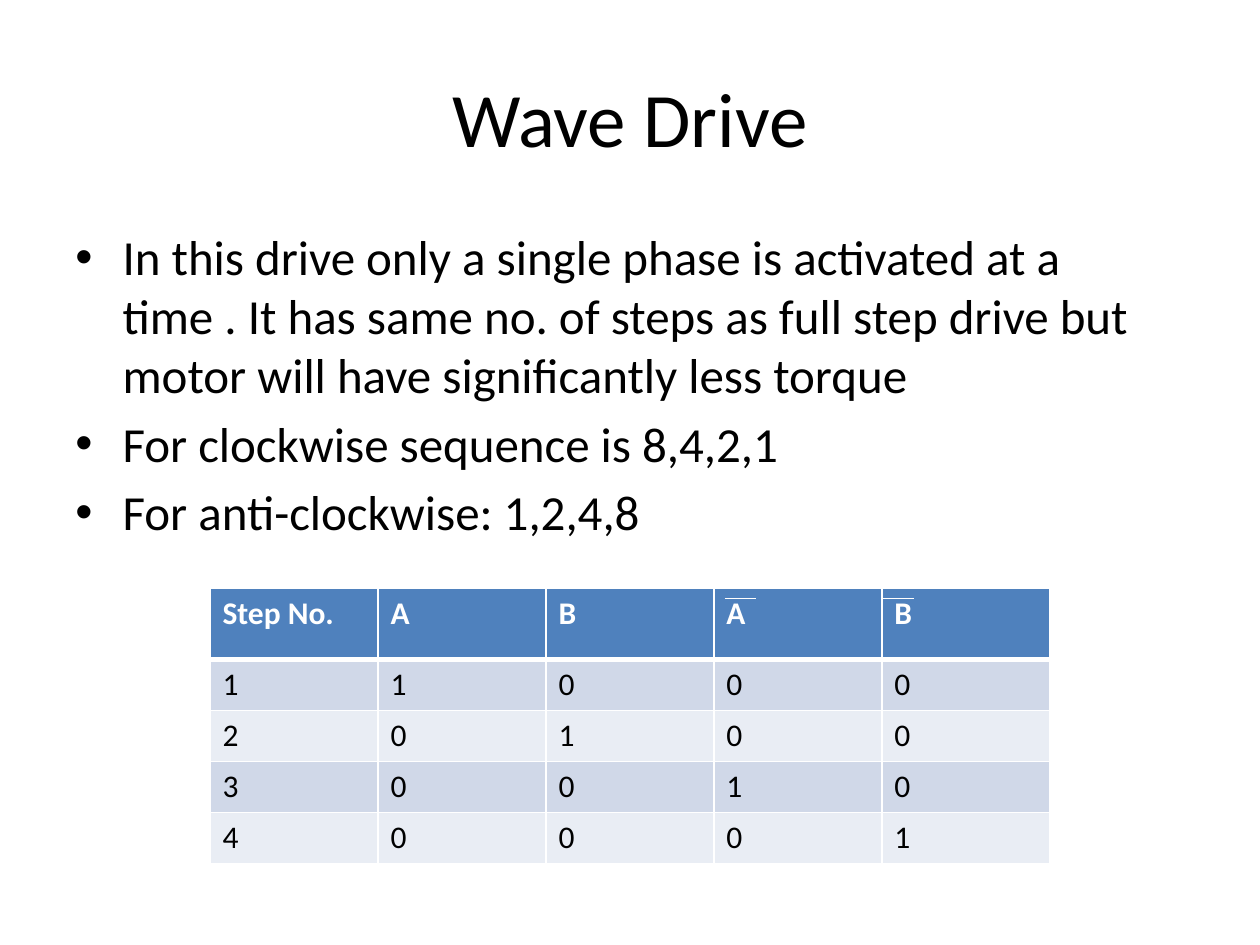
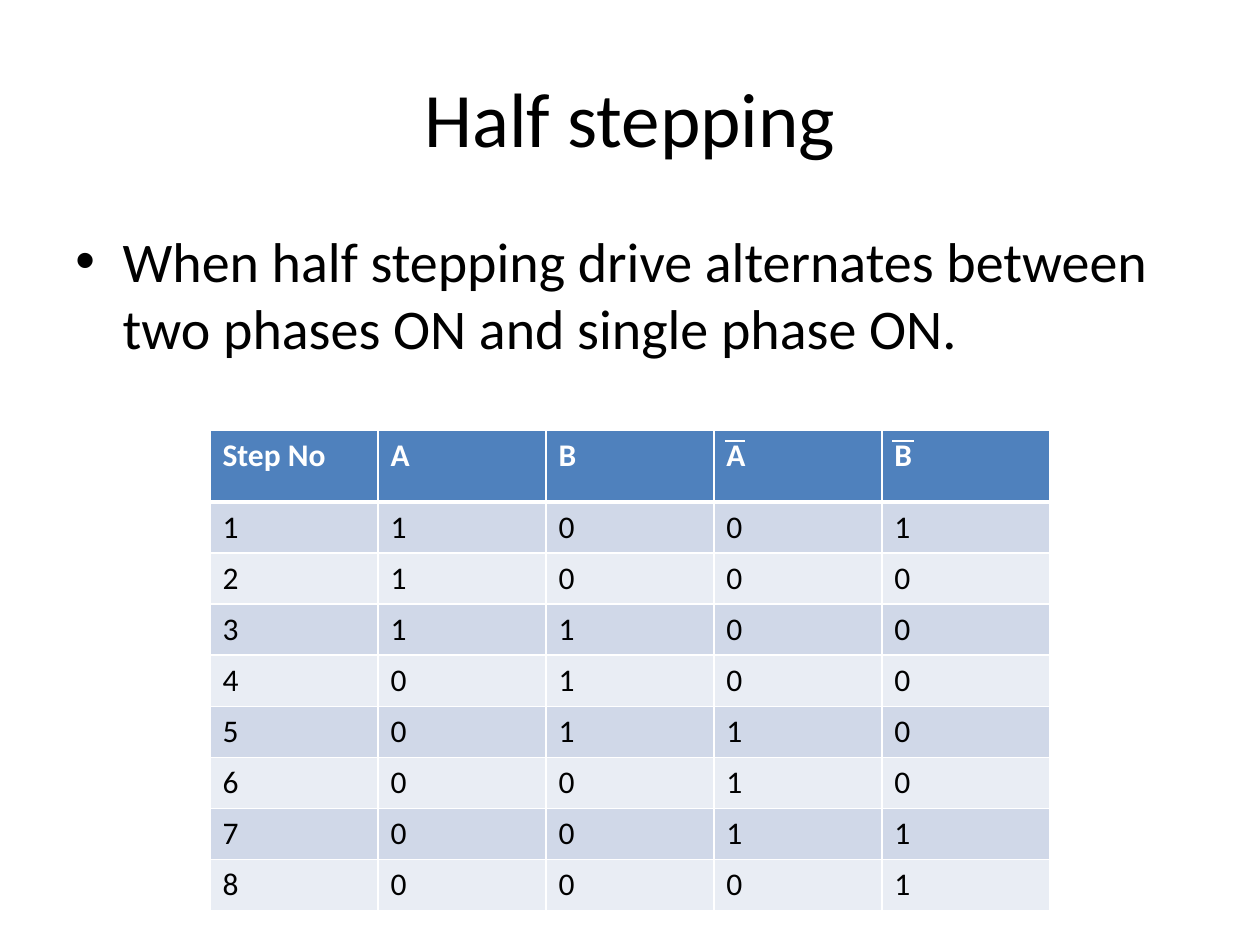
import lxml.etree
import pptx
import pptx.dml.color
import pptx.enum.shapes
import pptx.enum.text
import pptx.oxml.ns
import pptx.util

COLORS = {
    "text": "000000",
    "line": "FFFFFF",
    "header": "4F81BD",
    "odd_row": "D0D8E8",
    "even_row": "E9EDF4",
}
FONT = "Calibri"
GRID_COLUMNS, GRID_ROWS = 120, 90
TABLE_LEFT, TABLE_COLUMN = 20, 16
HEADER_HEIGHT, ROW_HEIGHT = 6.8, 4.87
PHASES = ["A", "B", "A", "B"]


def color(name):
    return pptx.dml.color.RGBColor.from_string(COLORS[name])


def add_xml(parent, tag, **attributes):
    element = lxml.etree.SubElement(parent, pptx.oxml.ns.qn(tag))
    for name, value in attributes.items():
        element.set(name, str(value))
    return element


def write(paragraph, text, size=18, color_name="text", bold=False):
    run = paragraph.add_run()
    run.text = text
    run.font.name = FONT
    run.font.size = pptx.util.Pt(size)
    run.font.bold = bold
    run.font.color.rgb = color(color_name)


class Deck:
    """Holds the presentation and its current slide; lengths are grid units."""

    def __init__(self):
        self.presentation = pptx.Presentation()
        self.presentation.slide_width = pptx.util.Inches(10)
        self.presentation.slide_height = pptx.util.Inches(7.5)
        self.slide = None

    def x(self, columns):
        return round(self.presentation.slide_width * columns / GRID_COLUMNS)

    def y(self, rows):
        return round(self.presentation.slide_height * rows / GRID_ROWS)

    def box(self, left, top, width, height):
        return self.x(left), self.y(top), self.x(width), self.y(height)

    def add_slide(self, title):
        layout = self.presentation.slide_layouts.get_by_name("Title Only")
        self.slide = self.presentation.slides.add_slide(layout)
        shape = self.slide.shapes.title
        shape.left, shape.top, shape.width, shape.height = self.box(6, 3.6, 108, 15)
        shape.text_frame.vertical_anchor = pptx.enum.text.MSO_ANCHOR.MIDDLE
        paragraph = shape.text_frame.paragraphs[0]
        paragraph.alignment = pptx.enum.text.PP_ALIGN.CENTER
        write(paragraph, title, size=44)

    def add_bullets(self, texts, size):
        frame = self.slide.shapes.add_textbox(*self.box(6, 21, 108, 59.4)).text_frame
        frame.word_wrap = True
        for index, text in enumerate(texts):
            paragraph = frame.add_paragraph() if index else frame.paragraphs[0]
            paragraph.space_before = pptx.util.Pt(size * 0.2)
            properties = paragraph._p.get_or_add_pPr()
            indent = self.x(4.5)
            properties.set("marL", str(indent))
            properties.set("indent", str(-indent))
            add_xml(properties, "a:buFont", typeface="Arial")
            add_xml(properties, "a:buChar", char="•")
            write(paragraph, text, size=size)

    def add_step_table(self, top, step_label, steps):
        """Number the steps; each step is a string with one digit per phase."""
        rows = [[step_label, *PHASES]]
        rows += [[str(number), *step] for number, step in enumerate(steps, 1)]
        heights = [HEADER_HEIGHT] + [ROW_HEIGHT] * len(steps)
        area = self.box(TABLE_LEFT, top, TABLE_COLUMN * len(rows[0]), sum(heights))
        table = self.slide.shapes.add_table(len(rows), len(rows[0]), *area).table
        table.first_row = table.horz_banding = False
        for column in table.columns:
            column.width = self.x(TABLE_COLUMN)
        for row_index, (values, height) in enumerate(zip(rows, heights)):
            table.rows[row_index].height = self.y(height)
            for column_index, value in enumerate(values):
                self.format_cell(table.cell(row_index, column_index), value, row_index)

    def format_cell(self, cell, text, row_index):
        is_header = row_index == 0
        fill = "header" if is_header else "odd_row" if row_index % 2 else "even_row"
        borders = {"L": 1, "R": 1, "T": 3 if row_index == 1 else 1, "B": 3 if is_header else 1}
        for side, width in borders.items():
            line = add_xml(cell._tc.get_or_add_tcPr(), f"a:ln{side}", w=pptx.util.Pt(width))
            add_xml(add_xml(line, "a:solidFill"), "a:srgbClr", val=COLORS["line"])
        cell.fill.solid()
        cell.fill.fore_color.rgb = color(fill)
        write(cell.text_frame.paragraphs[0], text, bold=is_header,
              color_name="line" if is_header else "text")

    def add_overbar(self, left, right, row):
        connector = self.slide.shapes.add_connector(
            pptx.enum.shapes.MSO_CONNECTOR.STRAIGHT,
            self.x(left), self.y(row), self.x(right), self.y(row))
        connector.line.color.rgb = color("line")
        connector.line.width = pptx.util.Pt(0.75)
        add_xml(connector._element.spPr, "a:effectLst")


def main():
    deck = Deck()

    deck.add_slide("Wave Drive")
    deck.add_bullets([
        "In this drive only a single phase is activated at a time . It has same no. "
        "of steps as full step drive but motor will have significantly less torque",
        "For clockwise sequence is 8,4,2,1",
        "For anti-clockwise: 1,2,4,8",
    ], size=28)
    deck.add_step_table(56, "Step No.", ["1000", "0100", "0010", "0001"])
    deck.add_overbar(69, 72, row=57)
    deck.add_overbar(84, 87, row=57)

    deck.add_slide("Half stepping")
    deck.add_bullets([
        "When half stepping drive alternates between two phases ON and single phase ON.",
    ], size=32)
    deck.add_step_table(41, "Step No", [
        "1001", "1000", "1100", "0100", "0110", "0010", "0011", "0001"])
    deck.add_overbar(69, 71, row=42)
    deck.add_overbar(85, 87, row=42)

    deck.presentation.save("out.pptx")


if __name__ == "__main__":
    main()
